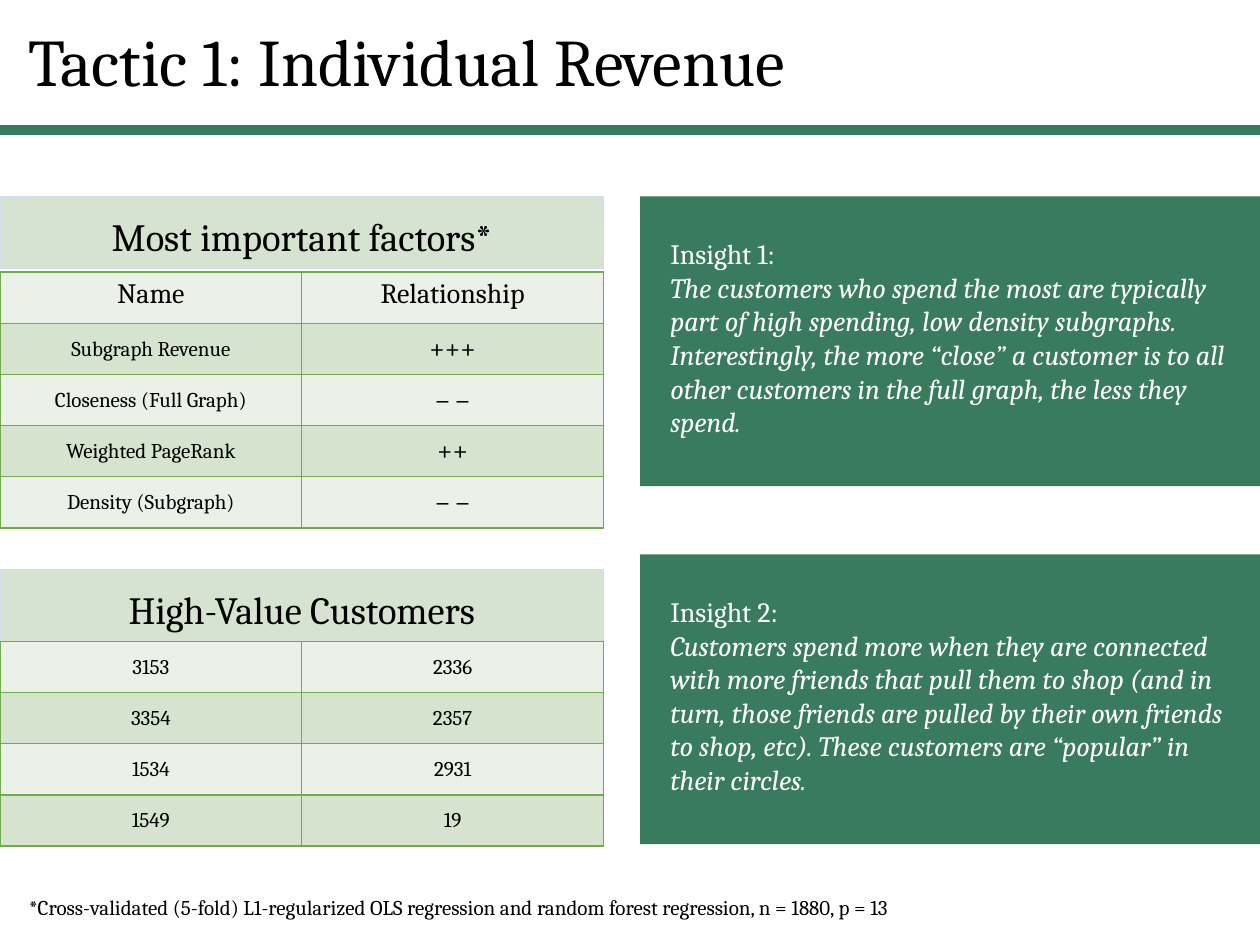
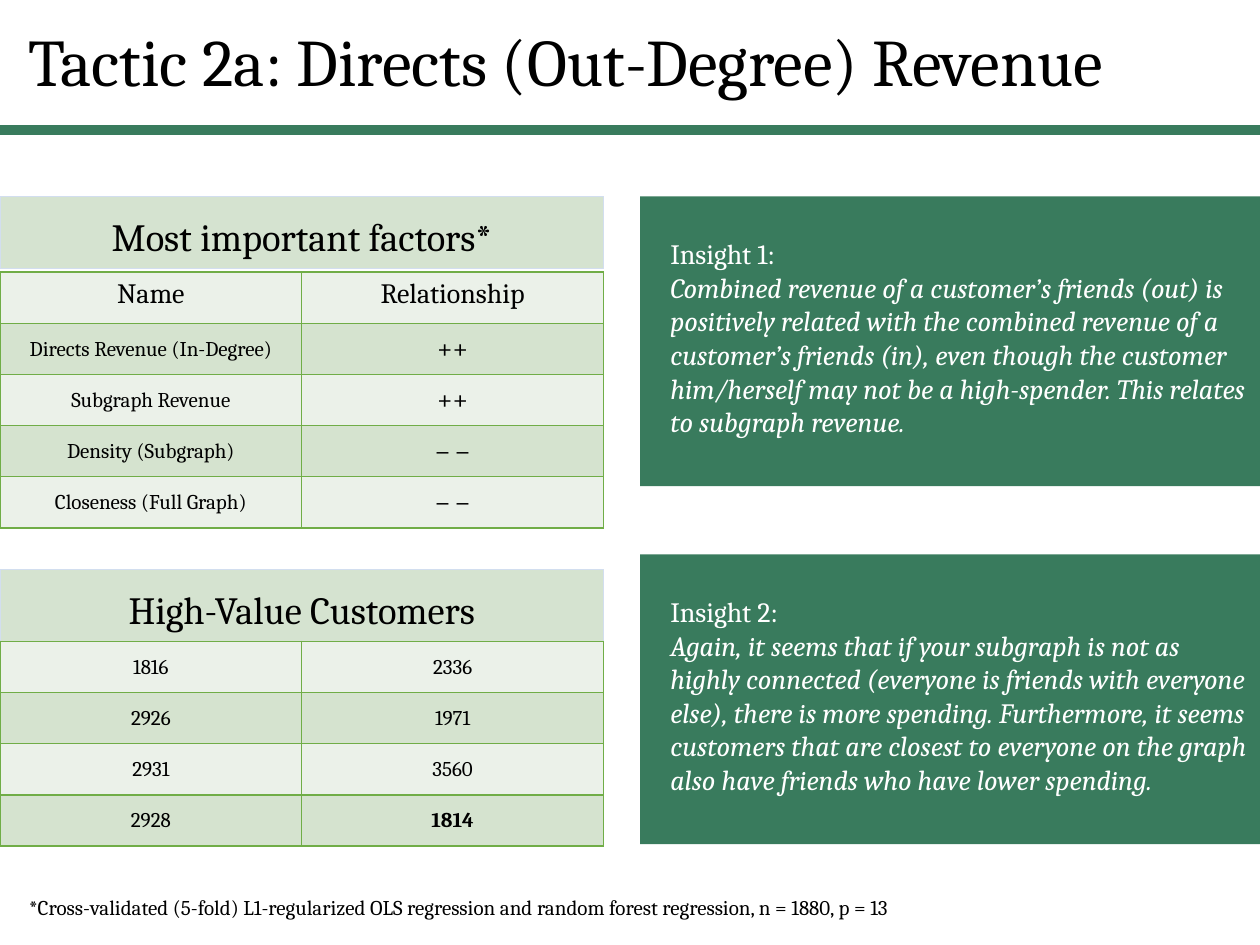
from lxml.etree import SubElement
from pptx import Presentation
from pptx.dml.color import RGBColor
from pptx.enum.shapes import MSO_CONNECTOR as CONNECTOR, MSO_SHAPE as SHAPE
from pptx.enum.text import MSO_ANCHOR as ANCHOR, PP_ALIGN as ALIGN
from pptx.oxml.ns import qn
from pptx.util import Inches, Pt

COLS, ROWS = 100, 75
LEFT_W, RIGHT_X = 47.9, 50.8
MARGIN, TOP = 1.3, 15.6
HEAD_H, ROW_H = 5.7, 4.06

GREEN, PALE, BORDER, EDGE = "397B5D", "D5E3D0", "70AD47", "D2DEEF"
BANDS = ("EBF1E9", "D5E3CF")
BLACK, WHITE = "000000", "FFFFFF"

NOTE = ("*Cross-validated (5-fold) L1-regularized OLS regression and "
        "random forest regression, n = 1880, p = 13")

TACTICS = [
    {
        "title": "Tactic 1: Individual Revenue",
        "factors": [("Subgraph Revenue", "+++"),
                    ("Closeness (Full Graph)", "– –"),
                    ("Weighted PageRank", "++"),
                    ("Density (Subgraph)", "– –")],
        "customers": [("3153", "2336"), ("3354", "2357"),
                      ("1534", "2931"), ("1549", "19")],
        "bold": (),
        "insights": [
            "The customers who spend the most are typically part of high "
            "spending, low density subgraphs. Interestingly, the more “close” "
            "a customer is to all other customers in the full graph, the less "
            "they spend.",
            "Customers spend more when they are connected with more friends "
            "that pull them to shop (and in turn, those friends are pulled by "
            "their own friends to shop, etc). These customers are “popular” in "
            "their circles.",
        ],
    },
    {
        "title": "Tactic 2a: Directs (Out-Degree) Revenue",
        "factors": [("Directs Revenue (In-Degree)", "++"),
                    ("Subgraph Revenue", "++"),
                    ("Density (Subgraph)", "– –"),
                    ("Closeness (Full Graph)", "– –")],
        "customers": [("1816", "2336"), ("2926", "1971"),
                      ("2931", "3560"), ("2928", "1814")],
        "bold": ("1814",),
        "insights": [
            "Combined revenue of a customer’s friends (out) is positively "
            "related with the combined revenue of a customer’s friends (in), "
            "even though the customer him/herself may not be a high-spender. "
            "This relates to subgraph revenue.",
            "Again, it seems that if your subgraph is not as highly connected "
            "(everyone is friends with everyone else), there is more spending. "
            "Furthermore, it seems customers that are closest to everyone on "
            "the graph also have friends who have lower spending.",
        ],
    },
]


def rgb(value):
    return RGBColor.from_string(value)


class Deck:
    font = "Cambria"

    def __init__(self):
        self.prs = Presentation()
        self.prs.slide_width, self.prs.slide_height = Inches(10), Inches(7.5)
        self.s = None

    def x(self, cols):
        return int(self.prs.slide_width * cols / COLS)

    def y(self, rows):
        return int(self.prs.slide_height * rows / ROWS)

    def box(self, left, top, width, height):
        return self.x(left), self.y(top), self.x(width), self.y(height)

    def slide(self):
        self.s = self.prs.slides.add_slide(self.prs.slide_layouts[6])

    def style(self, p, size, color=BLACK, align=ALIGN.LEFT, bold=False, italic=False):
        p.alignment = align
        f = p.font
        f.name, f.size, f.bold, f.italic = self.font, Pt(size), bold, italic
        f.color.rgb = rgb(color)

    def rule(self, top):
        c = self.s.shapes.add_connector(
            CONNECTOR.STRAIGHT, 0, self.y(top), self.x(COLS), self.y(top))
        c.line.color.rgb, c.line.width = rgb(GREEN), Pt(6)
        SubElement(c._element.spPr, qn("a:effectLst"))

    def text(self, text, top, width, height, size, spacing=1.0):
        tf = self.s.shapes.add_textbox(*self.box(MARGIN, top, width, height)).text_frame
        tf.word_wrap, tf.vertical_anchor = True, ANCHOR.MIDDLE
        p = tf.paragraphs[0]
        p.text, p.line_spacing = text, spacing
        self.style(p, size)

    def panel(self, left, top, width, height, fill, edge=None):
        sp = self.s.shapes.add_shape(SHAPE.RECTANGLE, *self.box(left, top, width, height))
        sp.shadow.inherit = False
        sp.fill.solid()
        sp.fill.fore_color.rgb = rgb(fill)
        if edge:
            sp.line.color.rgb, sp.line.width = rgb(edge), Pt(0.75)
        else:
            sp.line.fill.background()
        sp.text_frame.word_wrap = True
        return sp.text_frame

    def heading(self, text, top):
        tf = self.panel(0, top, LEFT_W, HEAD_H, PALE, EDGE)
        tf.vertical_anchor = ANCHOR.MIDDLE
        p = tf.paragraphs[0]
        p.text, p.line_spacing, p.space_before = text, 1.14, Pt(10)
        self.style(p, 22, align=ALIGN.CENTER)

    def insight(self, number, text, top):
        tf = self.panel(RIGHT_X, top, COLS - RIGHT_X, 23, GREEN)
        tf.vertical_anchor = ANCHOR.TOP
        tf.margin_left, tf.margin_top = self.x(2.4), self.y(3.2)
        label, body = tf.paragraphs[0], tf.add_paragraph()
        label.text, body.text = f"Insight {number}:", text
        self.style(label, 16, WHITE)
        self.style(body, 16, WHITE, italic=True)

    def borders(self, cell):
        tc_pr = cell._tc.get_or_add_tcPr()
        for side in "LRTB":
            ln = SubElement(tc_pr, qn(f"a:ln{side}"), w=str(Pt(1)))
            SubElement(SubElement(ln, qn("a:solidFill")), qn("a:srgbClr"), val=BORDER)

    def cell(self, cell, text, size, fill, bold):
        self.borders(cell)
        cell.fill.solid()
        cell.fill.fore_color.rgb = rgb(fill)
        cell.vertical_anchor = ANCHOR.MIDDLE
        if size == 12:
            cell.margin_left = cell.margin_right = cell.margin_top = self.x(0.1)
            cell.margin_bottom = 0
        p = cell.text_frame.paragraphs[0]
        p.text = text
        self.style(p, size, align=ALIGN.CENTER, bold=bold)

    def table(self, rows, top, sizes, header=False, bold=()):
        frame = self.s.shapes.add_table(
            len(rows), 2, *self.box(0, top, LEFT_W, ROW_H * len(rows)))
        table = frame.table
        table.first_row = table.horz_banding = False
        for i, row in enumerate(rows):
            table.rows[i].height = self.y(ROW_H)
            for j, text in enumerate(row):
                is_header = header and i == 0
                cell = table.cell(i, j)
                self.cell(cell, text, 16 if is_header else sizes[j],
                          BANDS[i % 2], text in bold)
                if is_header:
                    cell.vertical_anchor = ANCHOR.TOP

    def tactic(self, title, factors, customers, bold, insights):
        self.slide()
        self.rule(10.3)
        self.text(title, 0, 97.1, 10.3, 38, 0.9)
        self.heading("Most important factors*", TOP)
        self.table([("Name", "Relationship")] + factors, 21.6, (12, 16), header=True)
        self.heading("High-Value Customers", 45.2)
        self.table(customers, 45.2 + HEAD_H, (12, 12), bold=bold)
        for i, text in enumerate(insights):
            self.insight(i + 1, text, TOP + 28.4 * i)
        self.text(NOTE, 70.5, 83.5, 3, 12)


def main():
    deck = Deck()
    for tactic in TACTICS:
        deck.tactic(**tactic)
    deck.prs.save("out.pptx")


if __name__ == "__main__":
    main()
